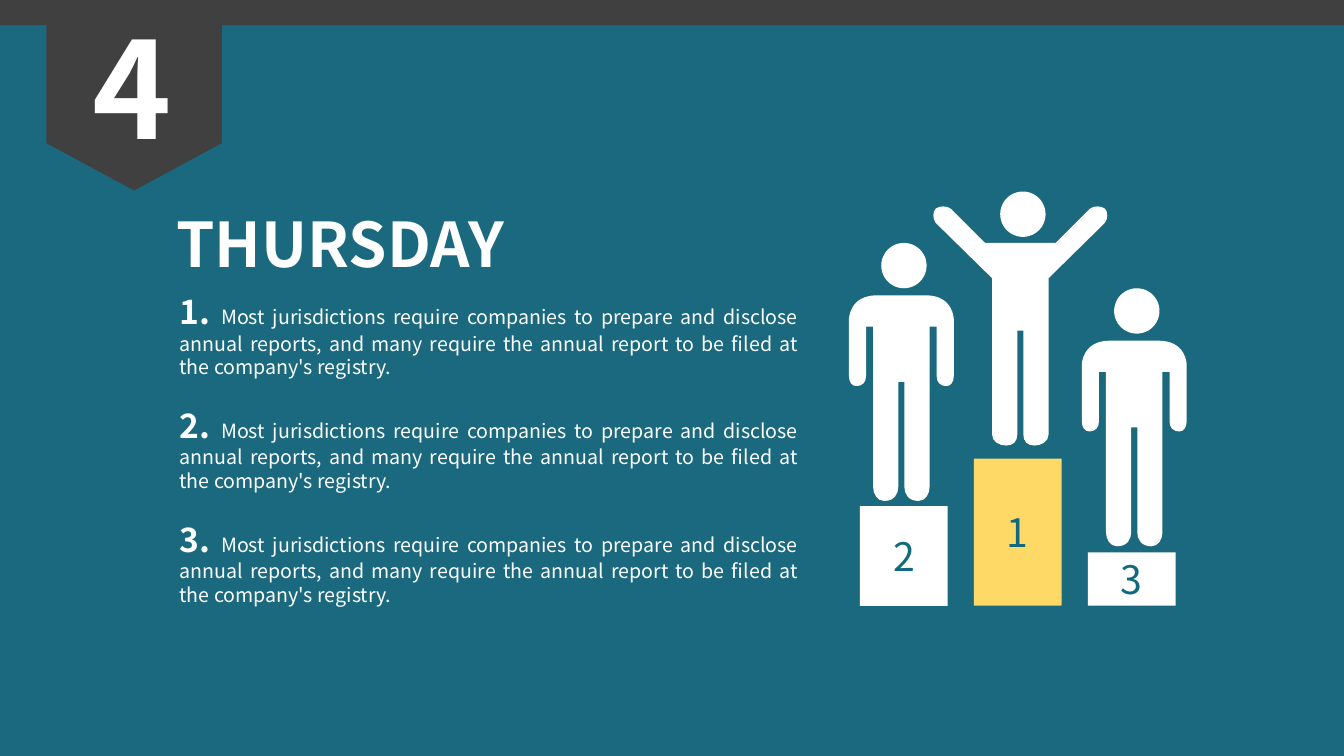
from dataclasses import dataclass

from lxml import etree
from pptx import Presentation
from pptx.dml.color import RGBColor
from pptx.enum.shapes import MSO_SHAPE
from pptx.enum.text import MSO_ANCHOR, MSO_AUTO_SIZE, PP_ALIGN
from pptx.oxml.ns import qn
from pptx.util import Inches, Pt

RECTANGLE, OVAL, PENTAGON = MSO_SHAPE.RECTANGLE, MSO_SHAPE.OVAL, MSO_SHAPE.PENTAGON
TOP, MIDDLE = MSO_ANCHOR.TOP, MSO_ANCHOR.MIDDLE
LEFT, CENTER, JUSTIFY = PP_ALIGN.LEFT, PP_ALIGN.CENTER, PP_ALIGN.JUSTIFY
NO_AUTOFIT = MSO_AUTO_SIZE.NONE

FONT = "Noto Sans CJK SC"
COLORS = {"teal": "1A697E", "number": "10697E", "dark": "404040", "white": "FFFFFF", "gold": "FFD966"}
REPORT_RULE = (
    "Most jurisdictions require companies to prepare and disclose annual reports, "
    "and many require the annual report to be filed at the company's registry."
)

HEAD_SIZE = 0.45
BODY_AXIS = 0.2
PODIUM_LEFT, PODIUM_PITCH, PODIUM_WIDTH, PODIUM_BOTTOM = 8.53, 1.13, 0.87, 6.01

STANDING = (
    (0.24, 0.52), (0.52, 0.52, 0.52, 0.76, 0.52, 0.76), (0.52, 1.32),
    (0.52, 1.38, 0.49, 1.42, 0.45, 1.42), (0.38, 1.42, 0.35, 1.38, 0.35, 1.32),
    (0.35, 0.83), (0.28, 0.83), (0.28, 2.42),
    (0.28, 2.49, 0.24, 2.56, 0.17, 2.56), (0.07, 2.56, 0.03, 2.49, 0.03, 2.42),
    (0.03, 1.38),
)
CHEERING = (
    (0.35, 0.51), (0.69, 0.17),
    (0.73, 0.14, 0.8, 0.14, 0.84, 0.17), (0.87, 0.2, 0.87, 0.27, 0.84, 0.31),
    (0.28, 0.86), (0.28, 2.41),
    (0.28, 2.48, 0.21, 2.52, 0.14, 2.52), (0.07, 2.52, 0.03, 2.48, 0.03, 2.41),
    (0.03, 1.38),
)


@dataclass
class Athlete:
    """A figure placed by the corner of its head, with half of a mirrored body."""
    left: float
    top: float
    half_body: tuple


@dataclass
class Podium:
    """A numbered step of the podium."""
    rank: str
    height: float
    color: str


ATHLETES = (
    Athlete(8.74, 2.41, STANDING),
    Athlete(9.92, 1.9, CHEERING),
    Athlete(11.05, 2.86, STANDING),
)
PODIUMS = (Podium("2", 0.99, "white"), Podium("1", 1.46, "gold"), Podium("3", 0.53, "white"))


def write(paragraph, text: str, size: float, color: str = "white", bold: bool = False,
          align=LEFT) -> None:
    """Add a formatted run to a paragraph."""
    paragraph.alignment = align
    run = paragraph.add_run()
    run.text = text
    font = run.font
    font.name, font.size, font.bold = FONT, Pt(size), bold
    font.color.rgb = RGBColor.from_string(COLORS[color])


def place(shape, left: float, top: float, width: float, height: float) -> None:
    """Move and size a shape in inches."""
    shape.left, shape.top = Inches(left), Inches(top)
    shape.width, shape.height = Inches(width), Inches(height)


def paint(shape, color: str) -> None:
    """Give a shape a flat fill without line or shadow."""
    shape.shadow.inherit = False
    shape.fill.solid()
    shape.fill.fore_color.rgb = RGBColor.from_string(COLORS[color])
    shape.line.fill.background()


def add_block(slide, preset, left: float, top: float, width: float, height: float, color: str):
    """Draw a flat preset shape."""
    block = slide.shapes.add_shape(preset, Inches(left), Inches(top), Inches(width), Inches(height))
    paint(block, color)
    return block


def bend(outline, sizes: list[int]) -> None:
    """Join each run of three outline points into a cubic curve."""
    path = next(outline._element.iter(qn("a:path")))
    segments = iter(path.findall(qn("a:lnTo")))
    for size in sizes:
        segment = next(segments)
        if size == 3:
            segment.tag = qn("a:cubicBezTo")
            for _ in range(2):
                follower = next(segments)
                segment.append(follower[0])
                path.remove(follower)


def add_athlete(slide, athlete: Athlete) -> None:
    """Draw a head and a mirrored body."""
    add_block(slide, OVAL, athlete.left, athlete.top, HEAD_SIZE, HEAD_SIZE, "white")
    half = [pair for step in athlete.half_body for pair in zip(step[::2], step[1::2])]
    axis = athlete.left + BODY_AXIS
    outline = [(axis - x, y) for x, y in half] + [(axis + x, y) for x, y in reversed(half)]
    points = [(Inches(x), Inches(athlete.top + y)) for x, y in outline]
    builder = slide.shapes.build_freeform(*points[0])
    builder.add_line_segments(points[1:], close=True)
    body = builder.convert_to_shape()
    sizes = [len(step) // 2 for step in athlete.half_body[1:]]
    bend(body, sizes + [1] + sizes[::-1])
    paint(body, "white")


def add_podium(slide, position: int, podium: Podium) -> None:
    """Draw one podium step with its rank."""
    left = PODIUM_LEFT + position * PODIUM_PITCH
    step = add_block(slide, RECTANGLE, left, PODIUM_BOTTOM - podium.height,
                     PODIUM_WIDTH, podium.height, podium.color)
    step.text_frame.vertical_anchor = MIDDLE
    write(step.text_frame.paragraphs[0], podium.rank, 28, color="number", align=CENTER)


def fill_rules(body) -> None:
    """Write the numbered rules into the body placeholder."""
    place(body, 1.68, 2.84, 6.34, 3.25)
    frame = body.text_frame
    frame.auto_size = NO_AUTOFIT
    for number in range(1, 4):
        rule = frame.paragraphs[0] if number == 1 else frame.add_paragraph()
        properties = rule._p.get_or_add_pPr()
        properties.set("marL", "0")
        properties.set("indent", "0")
        etree.SubElement(properties, qn("a:buNone"))
        rule.space_before = Pt(0 if number == 1 else 18.8)
        write(rule, f"{number}. ", 24, bold=True, align=JUSTIFY)
        write(rule, REPORT_RULE, 14, align=JUSTIFY)


def add_badge(slide) -> None:
    """Draw the top bar and the hanging day number."""
    add_block(slide, RECTANGLE, 0, -0.04, 13.33, 0.29, "dark")
    ribbon = add_block(slide, PENTAGON, 0.38, 0.07, 1.9, 1.74, "dark")
    ribbon.rotation = 90
    ribbon.adjustments[0] = 0.27
    day_number = slide.shapes.add_textbox(Inches(0.82), Inches(0), Inches(1.03), Inches(1.72))
    day_number.text_frame.word_wrap = False
    write(day_number.text_frame.paragraphs[0], "4", 96, bold=True)


def main() -> None:
    """Build and save the slide."""
    deck = Presentation()
    deck.slide_width, deck.slide_height = Inches(13.33), Inches(7.5)
    slide = deck.slides.add_slide(deck.slide_layouts[1])
    slide.background.fill.solid()
    slide.background.fill.fore_color.rgb = RGBColor.from_string(COLORS["teal"])

    day = slide.shapes.title
    place(day, 1.65, 1.99, 3.67, 0.84)
    day.text_frame.auto_size = NO_AUTOFIT
    day.text_frame.word_wrap = False
    day.text_frame.vertical_anchor = TOP
    write(day.text_frame.paragraphs[0], "THURSDAY", 44, bold=True)

    fill_rules(slide.placeholders[1])
    for athlete in ATHLETES:
        add_athlete(slide, athlete)
    for position, podium in enumerate(PODIUMS):
        add_podium(slide, position, podium)
    add_badge(slide)
    deck.save("out.pptx")


if __name__ == "__main__":
    main()
